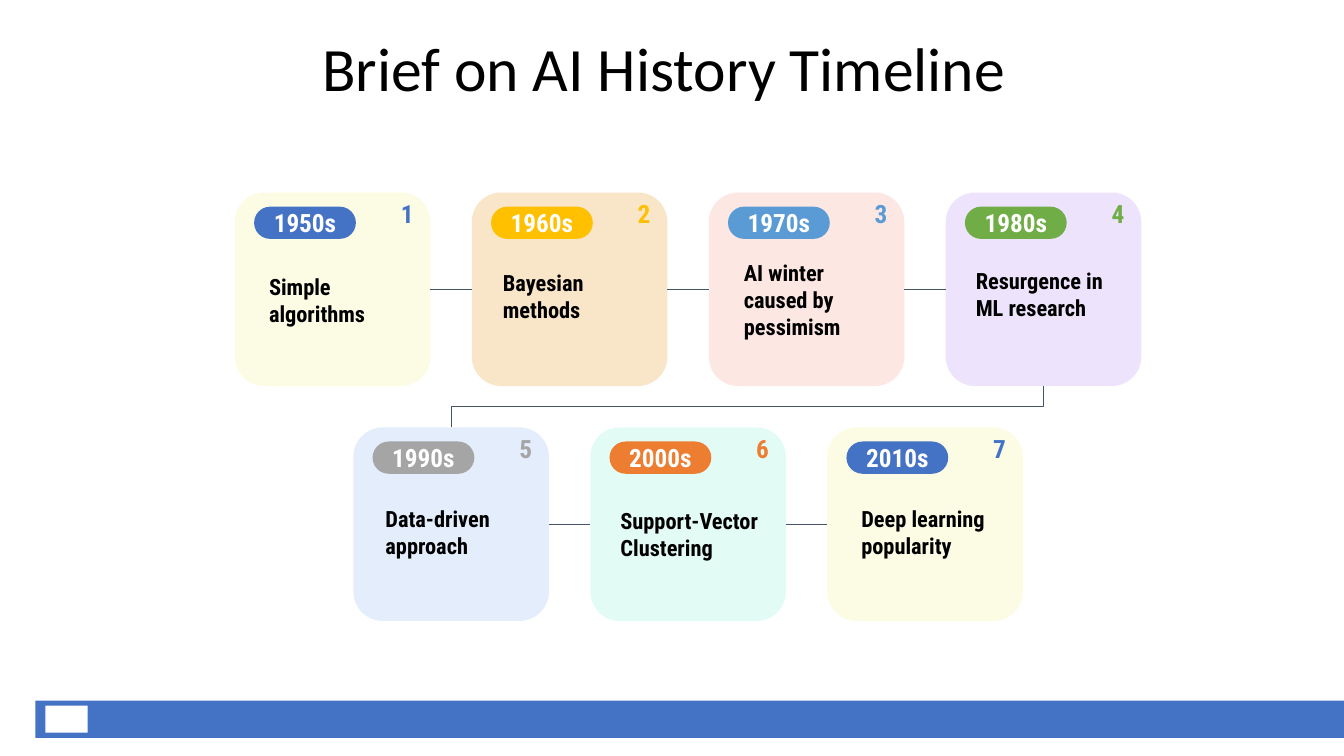
from dataclasses import dataclass

from lxml.etree import SubElement
from pptx import Presentation
from pptx.dml.color import RGBColor
from pptx.enum.shapes import MSO_CONNECTOR as Link, MSO_SHAPE as Shape
from pptx.enum.text import MSO_ANCHOR as Anchor, MSO_AUTO_SIZE as AutoSize, PP_ALIGN as Align
from pptx.oxml.ns import qn
from pptx.util import Inches, Pt


@dataclass(frozen=True)
class Theme:
    heading_font: str = "Calibri"
    card_font: str = "Roboto Condensed"
    title_size: int = 44
    label_size: int = 18
    caption_size: int = 16
    black: str = "000000"
    white: str = "FFFFFF"
    link: str = "44546A"
    blue: str = "4472C4"
    gold: str = "FFC000"
    sky: str = "5B9BD5"
    green: str = "70AD47"
    gray: str = "A5A5A5"
    orange: str = "ED7D31"
    yellow_tint: str = "E4EA27"
    amber_tint: str = "E99B27"
    red_tint: str = "EA4827"
    violet_tint: str = "8027EA"
    blue_tint: str = "2776EA"
    mint_tint: str = "26EAB8"


theme = Theme()


def write(holder, text, size, color, align, font=theme.card_font, bold=True):
    frame = holder.text_frame
    frame.word_wrap = True
    frame.auto_size = AutoSize.NONE
    frame.vertical_anchor = Anchor.MIDDLE
    frame.margin_left = frame.margin_right = Inches(0.1)
    frame.margin_top = frame.margin_bottom = Inches(0.1)
    line = frame.paragraphs[0]
    line.alignment = align
    run = line.add_run()
    run.text = text
    run.font.name, run.font.size, run.font.bold = font, Pt(size), bold
    run.font.color.rgb = RGBColor.from_string(color)
    return line


def block(shapes, kind, left, top, width, height, color):
    shape = shapes.add_shape(kind, Inches(left), Inches(top), Inches(width), Inches(height))
    shape.shadow.inherit = False
    shape.line.fill.background()
    shape.fill.solid()
    shape.fill.fore_color.rgb = RGBColor.from_string(color)
    return shape


deck = Presentation()
deck.slide_width, deck.slide_height = Inches(13.33), Inches(7.5)
slide = deck.slides.add_slide(deck.slide_layouts[5])

# Footer band with a plain mark
block(slide.shapes, Shape.RECTANGLE, 0.35, 6.95, 12.98, 0.37, theme.blue)
block(slide.shapes, Shape.RECTANGLE, 0.45, 7.0, 0.42, 0.27, theme.white)

# Title
title = slide.shapes.title
title.left, title.top, title.width, title.height = Inches(2.02), Inches(0.51), Inches(9), Inches(0.41)
heading = write(title, " Brief on AI History Timeline", theme.title_size, theme.black,
                Align.CENTER, theme.heading_font, False)
heading.line_spacing = 0.9

# Decades: label, caption, accent, card tint, tint opacity %, caption offset in the card
decades = [
    ("1950s", "Simple algorithms", theme.blue, theme.yellow_tint, 13, 0.24, 0.74),
    ("1960s", "Bayesian methods", theme.gold, theme.amber_tint, 25, 0.21, 0.7),
    ("1970s", "AI winter caused by pessimism", theme.sky, theme.red_tint, 13, 0.25, 0.73),
    ("1980s", "Resurgence in ML research", theme.green, theme.violet_tint, 13, 0.2, 0.68),
    ("1990s", "Data-driven approach", theme.gray, theme.blue_tint, 13, 0.22, 0.71),
    ("2000s", "Support-Vector Clustering", theme.orange, theme.mint_tint, 13, 0.2, 0.73),
    ("2010s", "Deep learning popularity", theme.blue, theme.yellow_tint, 13, 0.24, 0.71),
]
first_row = 4
card_width, card_height = 1.94, 1.92
pitch, row_tops = 2.35, (1.91, 4.24)

# Cards, the second row set in by half a step
cards = []
for index, (decade, caption, accent, tint, opacity, dx, dy) in enumerate(decades):
    row, column = divmod(index, first_row)
    left, top = 2.33 + pitch * (column + row / 2), row_tops[row]
    card = block(slide.shapes, Shape.ROUNDED_RECTANGLE, left, top, card_width, card_height, tint)
    card.adjustments[0] = 0.152
    tint_color = next(card._element.spPr.iter(qn("a:srgbClr")))
    SubElement(tint_color, qn("a:alpha"), val=str(opacity * 1000))
    cards.append(card)

    content = slide.shapes.add_group_shape().shapes
    pill = block(content, Shape.ROUNDED_RECTANGLE, left + 0.19, top + 0.14, 1.01, 0.32, accent)
    pill.adjustments[0] = 0.5
    write(pill, decade, theme.label_size, theme.white, Align.CENTER)
    note = content.add_textbox(Inches(left + dx), Inches(top + dy), Inches(1.6), Inches(0.66))
    write(note, caption, theme.caption_size, theme.black, Align.LEFT)
    number = content.add_textbox(Inches(left + 1.46), Inches(top), Inches(0.41), Inches(0.41))
    write(number, str(index + 1), theme.label_size, accent, Align.RIGHT)

# Links: straight within a row, bent from the first row to the second
for index, (before, after) in enumerate(zip(cards, cards[1:]), start=1):
    turns = index == first_row
    link = slide.shapes.add_connector(Link.ELBOW if turns else Link.STRAIGHT, 0, 0, 0, 0)
    link.begin_connect(before, 2 if turns else 3)
    link.end_connect(after, 0 if turns else 1)
    link.line.color.rgb = RGBColor.from_string(theme.link)
    link.line.width = Pt(0.75)
    SubElement(link._element.spPr, qn("a:effectLst"))
    if turns:
        # Turn the elbow a quarter so that it leaves downwards
        run_x, drop = link.width, link.height
        middle_x, middle_y = link.left + run_x // 2, link.top + drop // 2
        link.left, link.top = middle_x - drop // 2, middle_y - run_x // 2
        link.width, link.height = drop, run_x
        frame = link._element.spPr.find(qn("a:xfrm"))
        frame.attrib.pop("flipH", None)
        frame.set("rot", "5400000")

deck.save("out.pptx")
